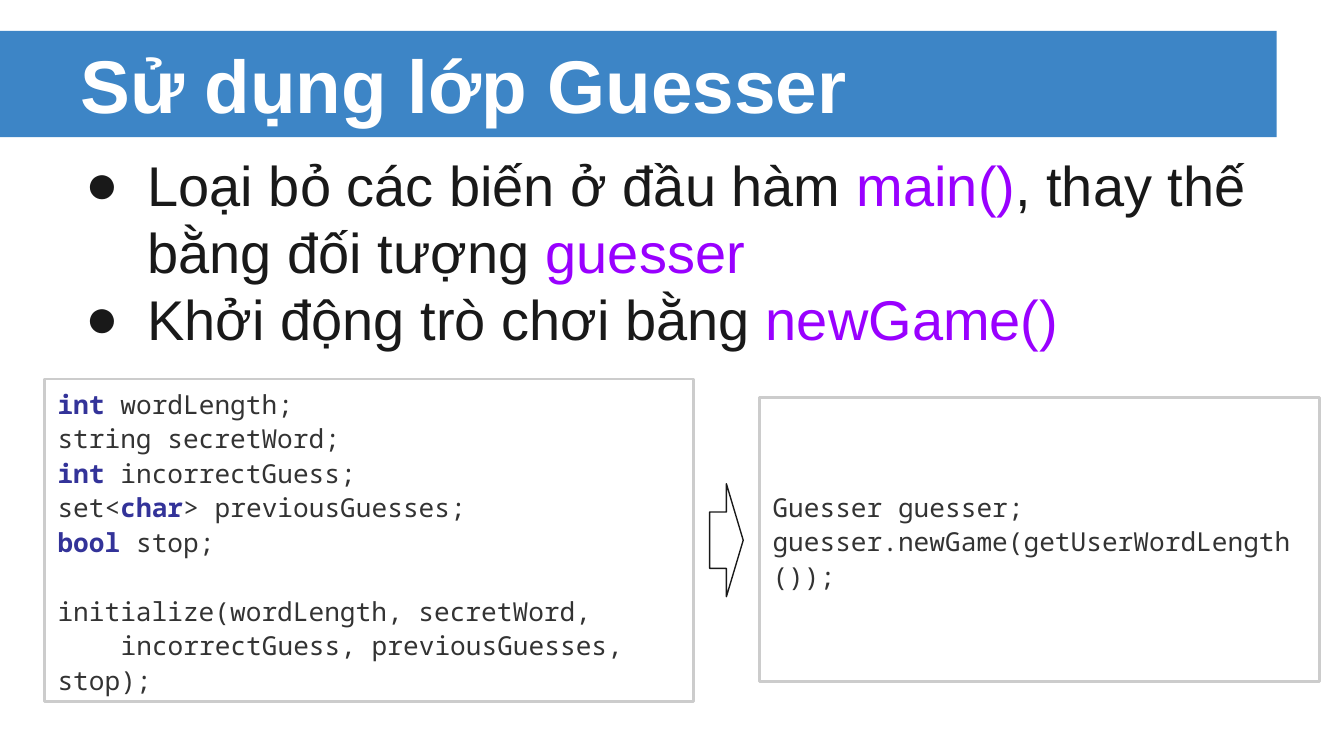
from lxml.etree import SubElement
from pptx import Presentation
from pptx.dml.color import RGBColor
from pptx.enum.shapes import MSO_SHAPE
from pptx.enum.text import MSO_ANCHOR, PP_ALIGN
from pptx.oxml.ns import qn
from pptx.util import Inches, Pt

WHITE = RGBColor(0xFF, 0xFF, 0xFF)
BLUE = RGBColor(0x3D, 0x85, 0xC6)
INK = RGBColor(0x19, 0x19, 0x19)
PURPLE = RGBColor(0x99, 0x00, 0xFF)
GRAY = RGBColor(0xCC, 0xCC, 0xCC)
CODE = RGBColor(0x33, 0x33, 0x33)
KEYWORD = RGBColor(0x33, 0x33, 0x99)
KEYWORDS = {"int", "char", "bool"}


class SlideBuilder:
    text_font = "Arial"
    code_font = "Noto Sans Mono"

    def __init__(self, page):
        self.page = page

    def shape(self, kind, bounds, fill=None, line=None, width=1):
        box = self.page.shapes.add_shape(kind, *map(Inches, bounds))
        box.shadow.inherit = False
        if fill is None:
            box.fill.background()
        else:
            box.fill.solid()
            box.fill.fore_color.rgb = fill
        if line is None:
            box.line.fill.background()
        else:
            box.line.color.rgb = line
            box.line.width = Pt(width)
        return box

    def frame(self, box, anchor):
        frame = box.text_frame
        frame.word_wrap = True
        frame.vertical_anchor = anchor
        frame.margin_left = frame.margin_right = Inches(0.1)
        frame.margin_top = frame.margin_bottom = Inches(0.1)
        return frame

    def text_box(self, bounds, anchor):
        box = self.page.shapes.add_textbox(*map(Inches, bounds))
        return self.frame(box, anchor)

    def style(self, para, font, size, bold=None):
        para.alignment = PP_ALIGN.LEFT
        para.font.name = font
        para.font.size = Pt(size)
        para.font.bold = bold

    def span(self, para, text, color, bold=None):
        span = para.add_run()
        span.text = text
        span.font.color.rgb = color
        span.font.bold = bold

    def title(self, text, bounds):
        para = self.text_box(bounds, MSO_ANCHOR.MIDDLE).paragraphs[0]
        self.style(para, self.text_font, 40, True)
        para.font.color.rgb = WHITE
        para.add_run().text = text

    def bullets(self, items, bounds):
        frame = self.text_box(bounds, MSO_ANCHOR.TOP)
        for index, spans in enumerate(items):
            para = frame.paragraphs[0] if index == 0 else frame.add_paragraph()
            para.space_before = Pt(0 if index else 6)
            self.style(para, self.text_font, 30)
            for text, color in spans:
                self.span(para, text, color)
            self.bullet(para)

    def bullet(self, para):
        properties = para._p.get_or_add_pPr()
        properties.set("marL", str(Inches(0.5)))
        properties.set("indent", str(Inches(-0.46)))
        color = SubElement(properties, qn("a:buClr"))
        SubElement(color, qn("a:srgbClr"), val=str(INK))
        SubElement(properties, qn("a:buSzPts"), val="3000")
        SubElement(properties, qn("a:buFont"), typeface=self.text_font)
        SubElement(properties, qn("a:buChar"), char="●")
        properties.append(properties.find(qn("a:defRPr")))

    def code(self, blocks, bounds):
        box = self.shape(MSO_SHAPE.RECTANGLE, bounds, line=GRAY, width=1.5)
        frame = self.frame(box, MSO_ANCHOR.MIDDLE)
        for index, (lines, indent) in enumerate(blocks):
            para = frame.paragraphs[0] if index == 0 else frame.add_paragraph()
            self.style(para, self.code_font, 14)
            para.line_spacing = 1.1
            para._p.get_or_add_pPr().set("indent", str(Inches(indent)))
            for number, line in enumerate(lines):
                if number:
                    para.add_line_break()
                self.code_line(para, line)

    def code_line(self, para, line):
        for part in line.split("|"):
            if part in KEYWORDS:
                self.span(para, part, KEYWORD, True)
            elif part:
                self.span(para, part, CODE)

    def arrow(self, bounds):
        self.shape(MSO_SHAPE.RIGHT_ARROW, bounds, line=INK, width=0.75)


def main():
    deck = Presentation()
    deck.slide_width = Inches(10)
    deck.slide_height = deck.slide_width * 9 // 16
    builder = SlideBuilder(deck.slides.add_slide(deck.slide_layouts[6]))

    builder.shape(MSO_SHAPE.RECTANGLE, (0, 0.23, 9.5, 0.79), fill=BLUE)
    builder.title("Sử dụng lớp Guesser", (0.5, 0.23, 9, 0.79))
    builder.bullets(
        [
            [
                ("Loại bỏ các biến ở đầu hàm ", INK),
                ("main()", PURPLE),
                (", thay thế bằng đối tượng ", INK),
                ("guesser", PURPLE),
            ],
            [("Khởi động trò chơi bằng ", INK), ("newGame()", PURPLE)],
        ],
        (0.5, 1.02, 9, 4.37),
    )

    declarations = [
        "int| wordLength;",
        "string secretWord;",
        "int| incorrectGuess;",
        "set<|char|> previousGuesses;",
        "bool| stop;",
        "",
        "initialize(wordLength, secretWord,",
    ]
    arguments = ["incorrectGuess, previousGuesses, stop);"]
    builder.code([(declarations, 0), (arguments, 0.47)], (0.33, 2.82, 4.83, 2.4))
    replacement = ["Guesser guesser;", "guesser.newGame(getUserWordLength());"]
    builder.code([(replacement, 0)], (5.65, 2.96, 4.17, 2.11))
    builder.arrow((5.28, 3.6, 0.25, 0.84))
    deck.save("out.pptx")


if __name__ == "__main__":
    main()
